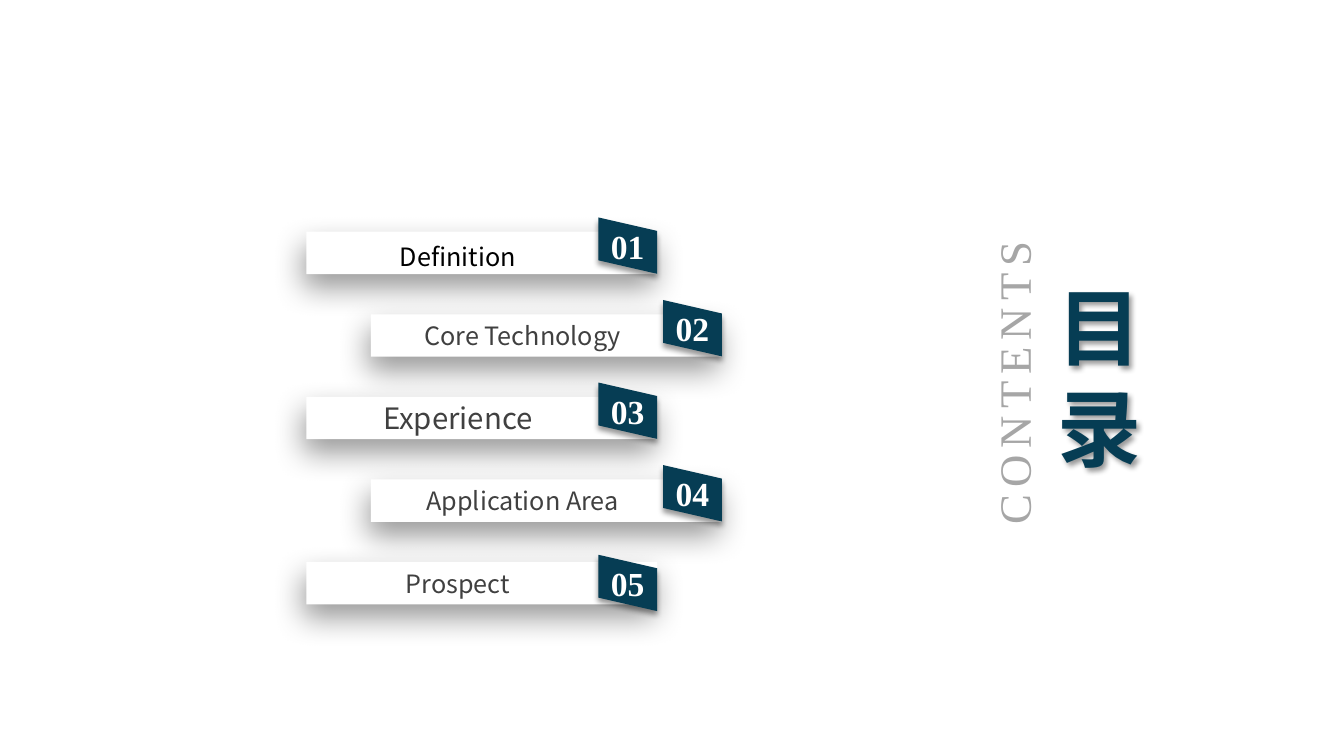
from dataclasses import dataclass

from lxml.etree import SubElement
from pptx import Presentation
from pptx.dml.color import RGBColor
from pptx.enum.shapes import MSO_SHAPE
from pptx.enum.text import MSO_ANCHOR, PP_ALIGN
from pptx.oxml.ns import qn
from pptx.util import Cm, Pt


@dataclass(frozen=True)
class Theme:
    navy: str = "063D54"
    white: str = "FFFFFF"
    black: str = "000000"
    dark: str = "404040"
    grey: str = "A6A6A6"
    sans: str = "Noto Sans CJK SC"
    serif: str = "Times New Roman"
    entry_size: float = 18
    large_entry_size: float = 21
    number_size: float = 24
    subtitle_size: float = 32
    title_size: float = 60


THEME = Theme()

# Label, colour, type size, lift of the number badge above the bar in cm
ENTRIES = [
    ("Definition", THEME.black, THEME.entry_size, 0.36),
    ("Core Technology", THEME.dark, THEME.entry_size, 0.36),
    ("Experience", THEME.dark, THEME.large_entry_size, 0.36),
    ("Application Area", THEME.dark, THEME.entry_size, 0.36),
    ("Prospect", THEME.dark, THEME.entry_size, 0.18),
]

LIST_LEFT, LIST_TOP = 7.72, 5.84
ROW_PITCH, STAGGER = 2.08, 1.63
BAR_WIDTH, BAR_HEIGHT = 8.84, 1.07
BADGE_WIDTH, BADGE_SIDE, BADGE_SLANT = 1.48, 1.08, 0.34


def add_shadow(shape, blur, distance, angle):
    """Give the shape a soft black shadow; lengths in points, angle in degrees."""
    shape.shadow.inherit = False
    effects = shape._element.spPr.find(qn("a:effectLst"))
    shadow = SubElement(effects, qn("a:outerShdw"), blurRad=str(Pt(blur)),
                        dist=str(Pt(distance)), dir=str(angle * 60000),
                        algn="t", rotWithShape="0")
    color = SubElement(shadow, qn("a:srgbClr"), val=THEME.black)
    SubElement(color, qn("a:alpha"), val="40000")


def paint(shape, color):
    shape.fill.solid()
    shape.fill.fore_color.rgb = RGBColor.from_string(color)
    shape.line.fill.background()


def write(shape, text, font_name, size, color, bold=False, align=PP_ALIGN.CENTER):
    """Write one vertically centred paragraph and return it."""
    frame = shape.text_frame
    frame.vertical_anchor = MSO_ANCHOR.MIDDLE
    frame.word_wrap = True
    paragraph = frame.paragraphs[0]
    paragraph.text = text
    paragraph.alignment = align
    font = paragraph.font
    font.name, font.size, font.bold = font_name, Pt(size), bold
    font.color.rgb = RGBColor.from_string(color)
    return paragraph


def add_bar(slide, left, top, label, color, size):
    bar = slide.shapes.add_shape(MSO_SHAPE.RECTANGLE, Cm(left), Cm(top),
                                 Cm(BAR_WIDTH), Cm(BAR_HEIGHT))
    paint(bar, THEME.white)
    add_shadow(bar, 22, 10, 101)
    frame = bar.text_frame
    frame.margin_left, frame.margin_right = Cm(0.3), Cm(1.5)
    frame.margin_top = frame.margin_bottom = 0
    return write(bar, label, THEME.sans, size, color)


def add_badge(slide, left, top, number):
    """Add a slanted number tag whose right side sits lower than its left."""
    right = left + BADGE_WIDTH
    corners = [(left, top + BADGE_SIDE),
               (right, top + BADGE_SIDE + BADGE_SLANT),
               (right, top + BADGE_SLANT)]
    builder = slide.shapes.build_freeform(Cm(left), Cm(top))
    builder.add_line_segments([(Cm(x), Cm(y)) for x, y in corners], close=True)
    badge = builder.convert_to_shape()
    paint(badge, THEME.navy)
    add_shadow(badge, 4, 3, 90)
    write(badge, f"{number:02}", THEME.serif, THEME.number_size, THEME.white, bold=True)


def add_contents_list(slide):
    for index, (label, color, size, lift) in enumerate(ENTRIES):
        left = LIST_LEFT + index % 2 * STAGGER
        top = LIST_TOP + index * ROW_PITCH
        paragraph = add_bar(slide, left, top, label, color, size)
        if index == 0:
            paragraph.line_spacing = 1.2
        add_badge(slide, left + BAR_WIDTH - BADGE_WIDTH, top - lift, index + 1)


def add_subtitle(slide):
    box = slide.shapes.add_textbox(Cm(20.73), Cm(8.81), Cm(9.6), Cm(1.68))
    box.rotation = 270
    paragraph = write(box, "CONTENTS", THEME.serif, THEME.subtitle_size, THEME.grey)
    box.text_frame.word_wrap = False
    paragraph.runs[0].font._element.set("spc", "500")


def add_title(slide):
    """Add the title in a box one character wide, so that it runs downwards."""
    box = slide.shapes.add_textbox(Cm(26.39), Cm(7.82), Cm(1.55), Cm(3.33))
    paragraph = write(box, "目录", THEME.sans, THEME.title_size, THEME.navy,
                      bold=True, align=PP_ALIGN.LEFT)
    SubElement(paragraph.font._element, qn("a:ea"), typeface=THEME.sans)
    add_shadow(box, 4, 3, 45)


def main():
    presentation = Presentation()
    presentation.slide_width, presentation.slide_height = Cm(33.87), Cm(19.05)
    slide = presentation.slides.add_slide(presentation.slide_layouts[6])
    add_contents_list(slide)
    add_subtitle(slide)
    add_title(slide)
    presentation.save("out.pptx")


if __name__ == "__main__":
    main()
